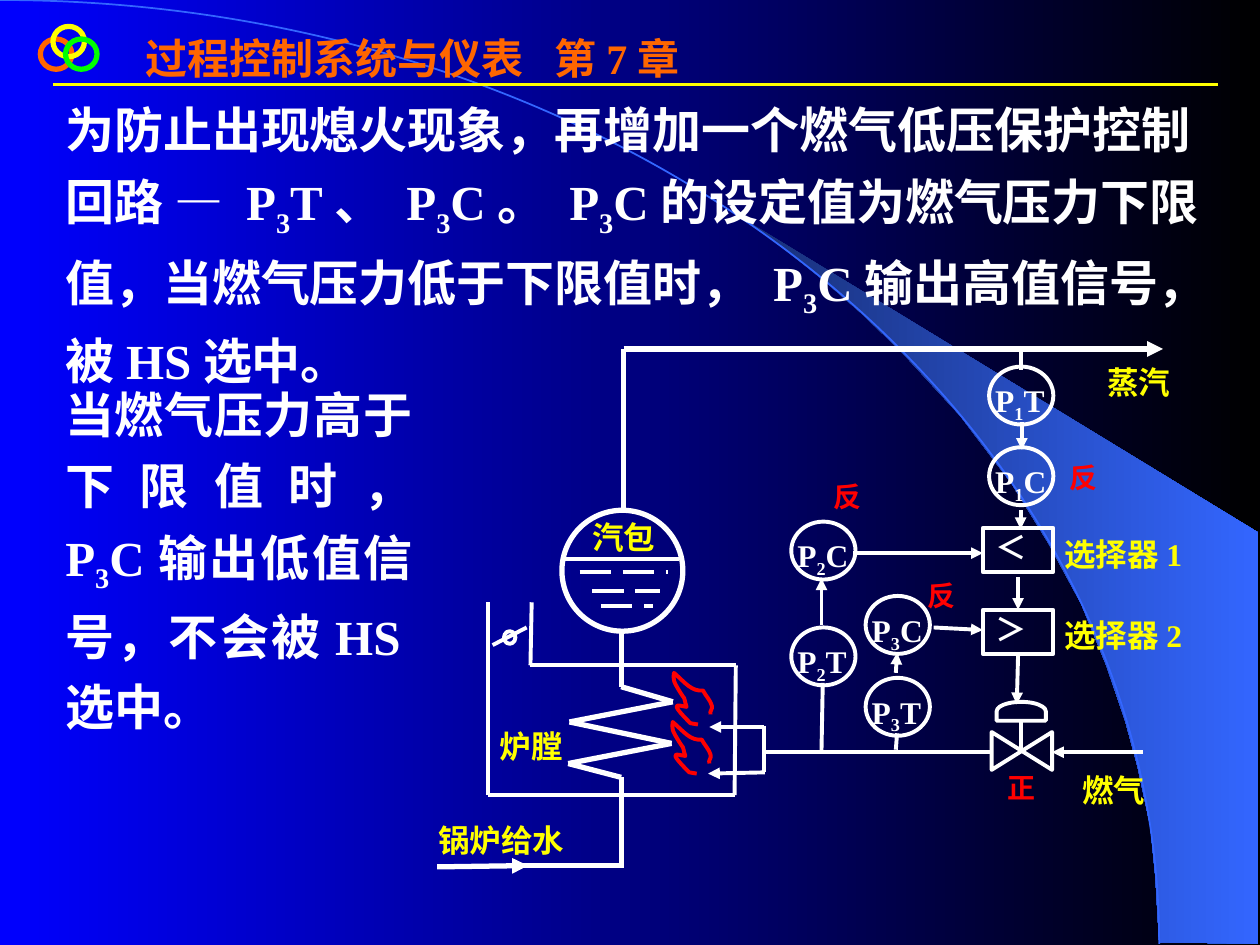
from itertools import pairwise

from lxml import etree
from pptx import Presentation
from pptx.dml.color import RGBColor
from pptx.enum.shapes import MSO_CONNECTOR, MSO_SHAPE
from pptx.enum.text import PP_ALIGN
from pptx.oxml.ns import qn
from pptx.util import Inches, Pt

STRAIGHT = MSO_CONNECTOR.STRAIGHT
OVAL, RECT = MSO_SHAPE.OVAL, MSO_SHAPE.RECTANGLE
DAMPER, VALVE, ACTUATOR = (MSO_SHAPE.FLOWCHART_CONNECTOR,
                           MSO_SHAPE.FLOWCHART_COLLATE, MSO_SHAPE.FLOWCHART_DELAY)
JUSTIFY, LEFT = PP_ALIGN.JUSTIFY, PP_ALIGN.LEFT
LATIN, CJK = "Times New Roman", "Noto Sans CJK SC"
COLORS = {"blue": "0000FF", "black": "000000", "navy": "182F76", "sky": "3366FF",
          "orange": "FF6600", "yellow": "FFFF00", "green": "00FF00",
          "white": "FFFFFF", "red": "FF0000"}
THIN, THICK = 2.25, 3

# An underscore puts the next character in subscript.
TITLE = "过程控制系统与仪表\t第7章"
TITLE_TAB = 3.24
LOW_PRESSURE = ("为防止出现熄火现象，再增加一个燃气低压保护控制回路 — P_3T、 P_3C。 P_3C的设定值为"
                "燃气压力下限值，当燃气压力低于下限值时， P_3C输出高值信号，被HS选中。")
HIGH_PRESSURE = "当燃气压力高于下限值时， P_3C输出低值信号，不会被HS选中。"

RINGS = [(0.32, 0.31, "orange"), (0.42, 0.21, "yellow"), (0.52, 0.31, "green")]
PART_LABELS = [("燃气", 8.49, 6.01, 0.81), ("锅炉给水", 3.38, 6.41, 1.46),
               ("蒸汽", 8.69, 2.77, 0.89), ("汽包", 4.6, 4, 0.89), ("炉膛", 3.87, 5.66, 0.8),
               ("选择器1", 8.35, 4.14, 1.27), ("选择器2", 8.35, 4.78, 1.4)]
ACTIONS = [("正", 7.9, 6.01), ("反", 7.26, 4.49), ("反", 6.52, 3.7), ("反", 8.39, 3.55)]
INSTRUMENTS = [("P_1T", 7.85, 2.91), ("P_1C", 7.85, 3.55), ("P_2C", 6.28, 4.14),
               ("P_2T", 6.28, 4.98), ("P_3C", 6.87, 4.73), ("P_3T", 6.87, 5.38)]
SELECTORS = [("＜", 7.8, 4.19), ("＞", 7.8, 4.84)]

THICK_PIPES = [
    [(4.93, 5.01), (4.93, 5.45), (5.34, 5.57), (4.52, 5.73), (5.33, 5.9),
     (4.51, 6.06), (4.93, 6.17), (4.93, 6.87)],
    [(4.95, 6.87), (4.14, 6.87)],
]
THICK_ARROWS = [[(3.47, 6.88), (4.19, 6.87)], [(4.95, 4.05), (4.95, 2.77), (9.23, 2.77)]]
THIN_PIPES = [
    [(3.87, 4.78), (3.87, 6.31), (5.83, 6.31), (5.84, 5.28), (4.21, 5.28), (4.22, 4.78)],
    [(6.08, 5.97), (7.88, 5.97)], [(6.06, 5.76), (6.06, 6.13)],
    [(6.52, 5.96), (6.53, 5.42)], [(7.12, 5.82), (7.11, 5.95)],
    [(8.1, 2.77), (8.1, 2.94)], [(8.1, 5.72), (8.1, 5.97)],
    [(3.91, 5.12), (4.18, 4.98)], [(4.46, 4.44), (5.39, 4.44)],
]
THIN_ARROWS = [
    [(9.07, 5.97), (8.35, 5.97)], [(6.07, 6.13), (5.62, 6.14)], [(6.06, 5.77), (5.63, 5.77)],
    [(8.11, 3.35), (8.11, 3.57)], [(8.1, 4.05), (8.1, 4.2)], [(8.08, 4.58), (8.08, 4.84)],
    [(8.08, 5.2), (8.07, 5.59)], [(7.41, 4.98), (7.8, 5)], [(7.11, 5.34), (7.12, 5.18)],
    [(6.52, 4.96), (6.52, 4.59)], [(6.77, 4.39), (7.8, 4.39)],
]
WATER_DASHES = [[(4.6, 4.54), (5.3, 4.54)], [(4.7, 4.69), (5.24, 4.69)],
                [(4.77, 4.81), (5.18, 4.81)]]

# Cubic curves: a start point, then two controls and an end for each piece.
HORIZON = [(0, 0), (5.08, 0), (9.2, 3.35), (9.2, 7.49)]
FLAME = [(5.54, 5.75), (5.52, 5.74), (5.5, 5.75), (5.48, 5.74), (5.3, 5.56), (5.38, 5.6),
         (5.45, 5.61), (5.44, 5.59), (5.44, 5.57), (5.43, 5.54), (5.42, 5.53), (5.35, 5.42),
         (5.35, 5.4), (5.34, 5.38), (5.35, 5.36), (5.35, 5.34), (5.44, 5.42), (5.49, 5.49),
         (5.58, 5.48), (5.6, 5.52), (5.64, 5.56), (5.65, 5.6), (5.66, 5.63), (5.63, 5.64),
         (5.64, 5.67)]
FLAME_OFFSETS = [(0, 0), (-0.01, 0.39)]
CRESCENT = [(9.2, 7.48), (9.99, 7.49), (9.99, 4.23), (5.89, 1.73), (6.24, 1.99), (6.53, 2.22),
            (6.85, 2.5), (7.16, 2.8), (7.62, 3.3), (8.03, 3.84), (8.32, 4.31), (8.58, 4.79),
            (8.78, 5.28), (8.93, 5.72), (9.03, 6.09), (9.13, 6.56), (9.17, 6.96)]

deck = Presentation()
deck.slide_width, deck.slide_height = Inches(10), Inches(7.5)
slide = deck.slides.add_slide(deck.slide_layouts[6])
shapes = slide.shapes


def rgb(color):
    return RGBColor.from_string(COLORS[color])


def shade(fill, start, end):
    fill.gradient()
    fill.gradient_angle = 0
    for stop, color, position in zip(fill.gradient_stops, (start, end), (0, 1)):
        stop.color.rgb = rgb(color)
        stop.position = position


def outline(shape, color, width):
    shape.shadow.inherit = False
    shape.fill.background()
    shape.line.color.rgb = rgb(color)
    shape.line.width = Pt(width)


def add_outlined(kind, x, y, w, h, color="white", width=THIN, rotation=0):
    shape = shapes.add_shape(kind, Inches(x), Inches(y), Inches(w), Inches(h))
    outline(shape, color, width)
    shape.rotation = rotation
    return shape


def add_freeform(points, close=False):
    (x, y), *rest = points
    builder = shapes.build_freeform(Inches(x), Inches(y))
    builder.add_line_segments([(Inches(px), Inches(py)) for px, py in rest], close=close)
    return builder.convert_to_shape()


def add_curve(nodes):
    """Draw the nodes as cubic curves by merging each three line segments into one."""
    curve = add_freeform(nodes)
    segments = list(curve._element.iter(qn("a:lnTo")))
    for i in range(0, len(segments), 3):
        cubic = etree.Element(qn("a:cubicBezTo"))
        segments[i].addprevious(cubic)
        for segment in segments[i:i + 3]:
            cubic.append(segment[0])
            segment.getparent().remove(segment)
    return curve


def add_route(points, width, color="white", arrow=False, dash=None):
    """Join the points with straight connectors; the arrowhead goes on the last."""
    for (x1, y1), (x2, y2) in pairwise(points):
        link = shapes.add_connector(STRAIGHT, Inches(x1), Inches(y1), Inches(x2), Inches(y2))
        link.line.color.rgb = rgb(color)
        link.line.width = Pt(width)
        line = link.line._get_or_add_ln()
        if dash:
            etree.SubElement(line, qn("a:prstDash"), val=dash)
        if arrow and (x2, y2) == points[-1]:
            etree.SubElement(line, qn("a:tailEnd"), type="triangle")
        etree.SubElement(link._element.spPr, qn("a:effectLst"))


def write(shape, text, size, color, align=LEFT, spacing=1.2, font=LATIN, tab=None):
    frame = shape.text_frame
    frame.word_wrap = True
    paragraph = frame.paragraphs[0]
    paragraph.alignment = align
    paragraph.line_spacing = spacing
    if tab:
        tabs = etree.SubElement(paragraph._p.get_or_add_pPr(), qn("a:tabLst"))
        etree.SubElement(tabs, qn("a:tab"), pos=str(Inches(tab)), algn="l")
    first, *others = text.split("_")
    pieces = [(first, False)]
    for other in others:
        pieces += [(other[0], True), (other[1:], False)]
    for piece, subscript in pieces:
        run = paragraph.add_run()
        run.text = piece
        run.font.size, run.font.bold, run.font.name = Pt(size), True, font
        run.font.color.rgb = rgb(color)
        properties = run._r.get_or_add_rPr()
        if font == CJK:
            etree.SubElement(properties, qn("a:ea"), typeface=font)
        if subscript:
            properties.set("baseline", "-25000")


def add_label(text, x, y, w, h, size, color, align=LEFT, spacing=1.2, tab=None):
    box = shapes.add_textbox(Inches(x), Inches(y), Inches(w), Inches(h))
    write(box, text, size, color, align, spacing, tab=tab)


shade(slide.background.fill, "blue", "black")
crescent = add_freeform(CRESCENT, close=True)
outline(crescent, "sky", 1)
crescent.line.fill.background()
shade(crescent.fill, "navy", "sky")
outline(add_curve(HORIZON), "sky", 1)

add_route([(0.42, 0.67), (9.67, 0.67)], 1.5, "yellow")
add_label(TITLE, 1.06, 0.21, 4.49, 0.9, 24, "orange", spacing=1, tab=TITLE_TAB)
for x, y, color in RINGS:
    add_outlined(OVAL, x, y, 0.25, 0.24, color, 3)

add_label(LOW_PRESSURE, 0.42, 0.65, 9.25, 2.5, 28, "white")
add_label(HIGH_PRESSURE, 0.42, 2.91, 2.95, 2.98, 28, "white", JUSTIFY)

for routes, width, arrow, dash in [(THICK_PIPES, THICK, False, None),
                                   (THICK_ARROWS, THICK, True, None),
                                   (THIN_PIPES, THIN, False, None),
                                   (THIN_ARROWS, THIN, True, None),
                                   (WATER_DASHES, THIN, False, "lgDash")]:
    for route in routes:
        add_route(route, width, arrow=arrow, dash=dash)

for dx, dy in FLAME_OFFSETS:
    outline(add_curve([(x + dx, y + dy) for x, y in FLAME]), "red", THIN)

add_outlined(OVAL, 4.46, 4.05, 0.96, 0.96, width=THICK)
add_outlined(DAMPER, 4, 5.01, 0.09, 0.1)
add_outlined(VALVE, 7.96, 5.72, 0.3, 0.48, rotation=270)
add_outlined(ACTUATOR, 8.03, 5.45, 0.15, 0.39, rotation=270)
for sign, x, y in SELECTORS:
    selector = add_outlined(RECT, x, y, 0.56, 0.35)
    write(selector, sign, 18, "white", JUSTIFY, 0.85, CJK)
    selector.text_frame.vertical_anchor = None
for tag, x, y in INSTRUMENTS:
    add_outlined(OVAL, x, y, 0.51, 0.46)
    add_label(tag, x - 0.05, y, 0.64, 0.34, 18, "white", JUSTIFY)
for text, x, y, w in PART_LABELS:
    add_label(text, x, y, w, 0.44, 18, "yellow", JUSTIFY)
for text, x, y in ACTIONS:
    add_label(text, x, y, 0.59, 0.42, 16, "red")

deck.save("out.pptx")
